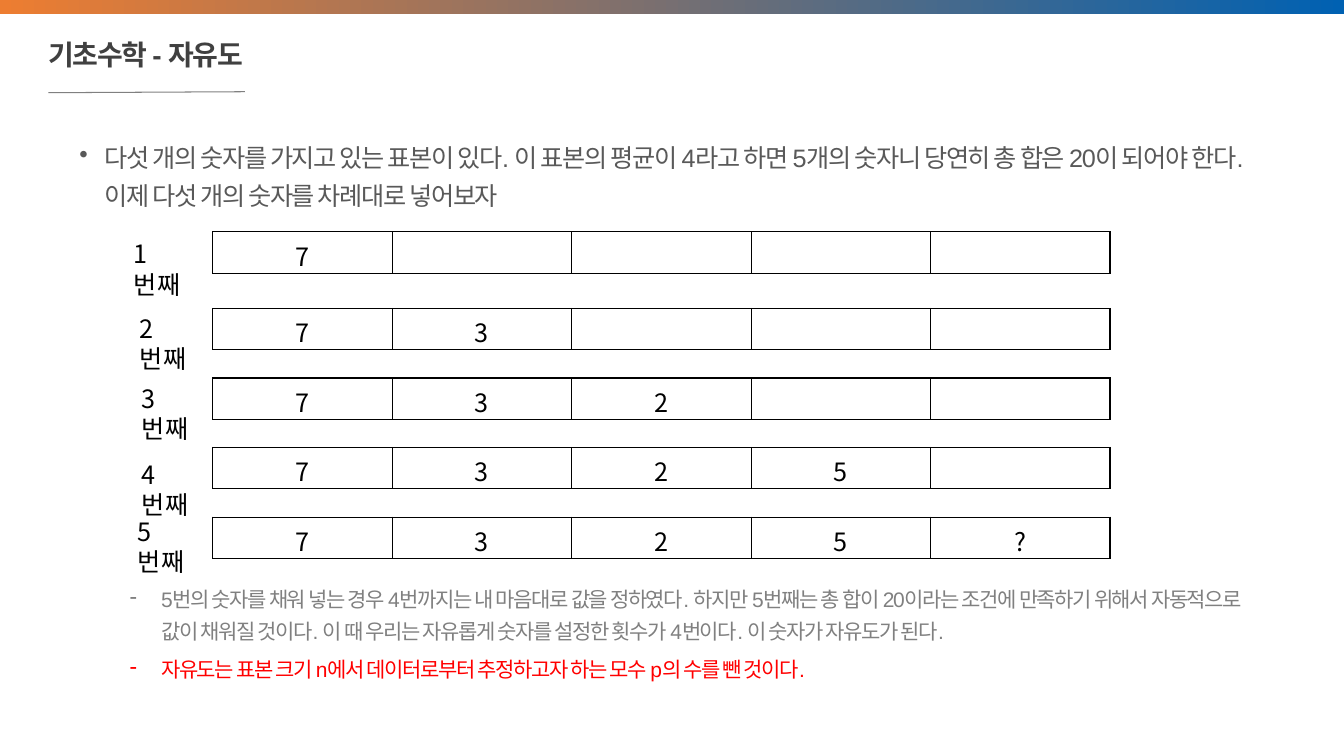
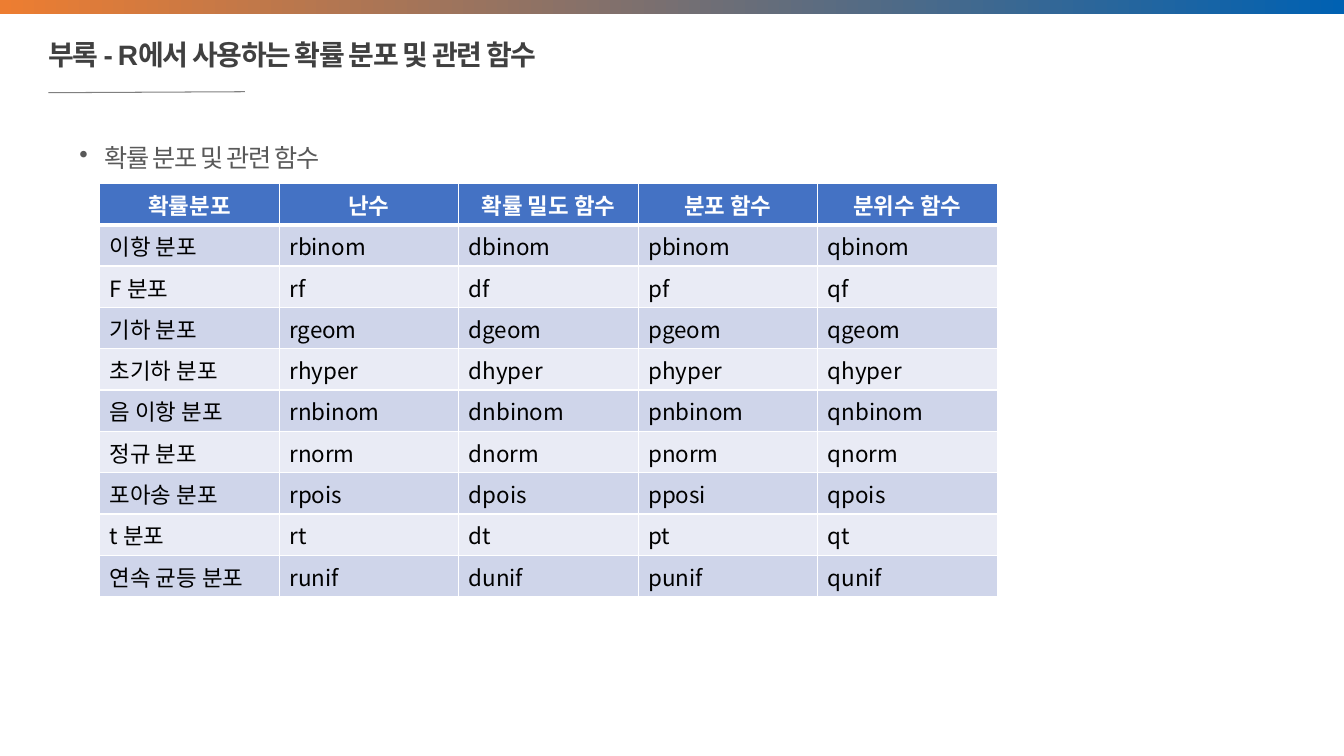
from dataclasses import dataclass

from lxml import etree
from pptx import Presentation
from pptx.dml.color import RGBColor
from pptx.enum import shapes, text
from pptx.oxml import ns
from pptx.util import Inches, Pt

ORANGE = RGBColor(0xED, 0x7D, 0x31)
BLUE = RGBColor(0x00, 0x61, 0xB2)
HEADER_BLUE = RGBColor(0x44, 0x72, 0xC4)
BAND_DARK = RGBColor(0xCF, 0xD5, 0xEA)
BAND_LIGHT = RGBColor(0xE9, 0xEB, 0xF5)
TITLE_GREY = RGBColor(0x40, 0x40, 0x40)
BODY_GREY = RGBColor(0x59, 0x59, 0x59)
GREY = RGBColor(0x80, 0x80, 0x80)
RED = RGBColor(0xFF, 0x00, 0x00)
BLACK = RGBColor(0, 0, 0)
WHITE = RGBColor(0xFF, 0xFF, 0xFF)

LATIN = "Arial"
KOREAN = "Noto Sans CJK KR"
SLIDE_W, SLIDE_H = 13.33, 7.5
COL_W, ROW_H = 1.78, 0.41


@dataclass(frozen=True)
class Style:
    size: float
    color: RGBColor
    font: str = KOREAN
    bold: bool = False
    tracking: int = 0


@dataclass(frozen=True)
class Bullet:
    char: str
    indent: float
    hanging: float
    before: float


@dataclass(frozen=True)
class Trial:
    label: str
    label_x: float
    label_y: float
    table_y: float
    values: str


TITLE = Style(20, TITLE_GREY, LATIN, True, -100)
BODY = Style(18, BODY_GREY, LATIN, tracking=-100)
NOTE = Style(15, GREY, LATIN, tracking=-100)
KEY_NOTE = Style(15, RED, LATIN, tracking=-100)
NUMBER = Style(18, BLACK)
HEADER = Style(16, WHITE, bold=True)
ENTRY = Style(16, BLACK)

DOT = Bullet("•", 0.25, 0.25, 10)
DASH = Bullet("-", 0.81, 0.31, 5)

TRIALS = [
    Trial("1번째", 1.23, 2.32, 2.30, "7"),
    Trial("2번째", 1.29, 3.06, 3.06, "73"),
    Trial("3번째", 1.31, 3.75, 3.75, "732"),
    Trial("4번째", 1.31, 4.51, 4.44, "7325"),
    Trial("5번째", 1.27, 5.07, 5.13, "7325?"),
]

INTRO = ("다섯 개의 숫자를 가지고 있는 표본이 있다. 이 표본의 평균이 4라고 하면 5개의 "
         "숫자니 당연히 총 합은 20이 되어야 한다. 이제 다섯 개의 숫자를 차례대로 넣어보자")
NOTES = [
    ("5번의 숫자를 채워 넣는 경우 4번까지는 내 마음대로 값을 정하였다. 하지만 5번째는 "
     "총 합이 20이라는 조건에 만족하기 위해서 자동적으로 값이 채워질 것이다. 이 때 우리는 "
     "자유롭게 숫자를 설정한 횟수가 4번이다. 이 숫자가 자유도가 된다.", NOTE),
    ("자유도는 표본 크기 n에서 데이터로부터 추정하고자 하는 모수 p의 수를 뺀 것이다.", KEY_NOTE),
]

COLUMNS = ["확률분포", "난수", "확률 밀도 함수", "분포 함수", "분위수 함수"]
FUNCTIONS = {
    "이항 분포": "rbinom dbinom pbinom qbinom",
    "F 분포": "rf df pf qf",
    "기하 분포": "rgeom dgeom pgeom qgeom",
    "초기하 분포": "rhyper dhyper phyper qhyper",
    "음 이항 분포": "rnbinom dnbinom pnbinom qnbinom",
    "정규 분포": "rnorm dnorm pnorm qnorm",
    "포아송 분포": "rpois dpois pposi qpois",
    "t 분포": "rt dt pt qt",
    "연속 균등 분포": "runif dunif punif qunif",
}


def set_style(p, style: Style) -> None:
    f = p.font
    f.size, f.bold, f.name = Pt(style.size), style.bold, style.font
    f.color.rgb = style.color
    props = p._p.get_or_add_pPr().get_or_add_defRPr()
    props.set("spc", str(style.tracking))
    etree.SubElement(props, ns.qn("a:ea")).set("typeface", KOREAN)


def set_bullet(p, bullet: Bullet) -> None:
    props = p._p.get_or_add_pPr()
    props.set("marL", str(Inches(bullet.indent)))
    props.set("indent", str(-Inches(bullet.hanging)))
    etree.SubElement(props, ns.qn("a:buChar")).set("char", bullet.char)


def add_text_box(s, x: float, y: float, w: float, h: float):
    tf = s.shapes.add_textbox(Inches(x), Inches(y), Inches(w), Inches(h)).text_frame
    tf.word_wrap = True
    return tf


def add_bullets(s, y: float, h: float, items: list[tuple[str, Style]], bullet: Bullet) -> None:
    tf = add_text_box(s, 0.69, y, 12.04, h)
    for i, (words, style) in enumerate(items):
        p = tf.add_paragraph() if i else tf.paragraphs[0]
        p.text = words
        set_bullet(p, bullet)
        p.line_spacing = 1.25
        if i:
            p.space_before = Pt(bullet.before)
        set_style(p, style)


def set_borders(cell, color: RGBColor, top: float = 1, bottom: float = 1) -> None:
    """Draw the four cell edges; call before setting the cell fill."""
    props = cell._tc.get_or_add_tcPr()
    for side, width in (("L", 1), ("R", 1), ("T", top), ("B", bottom)):
        line = etree.SubElement(props, ns.qn(f"a:ln{side}"), w=str(Pt(width)))
        fill = etree.SubElement(line, ns.qn("a:solidFill"))
        etree.SubElement(fill, ns.qn("a:srgbClr")).set("val", str(color))


def add_table(s, x: float, y: float, rows: int, cols: int):
    tbl = s.shapes.add_table(rows, cols, Inches(x), Inches(y),
                             Inches(cols * COL_W), Inches(rows * ROW_H)).table
    tbl.horz_banding = False
    for col in tbl.columns:
        col.width = Inches(COL_W)
    for row in tbl.rows:
        row.height = Inches(ROW_H)
    return tbl


def write_cell(cell, words: str, style: Style, centred: bool) -> None:
    p = cell.text_frame.paragraphs[0]
    p.text = words
    p.alignment = text.PP_ALIGN.CENTER if centred else text.PP_ALIGN.LEFT
    set_style(p, style)


def add_trial(s, trial: Trial) -> None:
    tbl = add_table(s, 2.11, trial.table_y, 1, 5)
    tbl.first_row = False
    for i in range(5):
        cell = tbl.cell(0, i)
        set_borders(cell, BLACK)
        cell.fill.background()
        write_cell(cell, trial.values[i:i + 1], NUMBER, True)
    p = add_text_box(s, trial.label_x, trial.label_y, 0.7, 0.4).paragraphs[0]
    p.text = trial.label
    set_style(p, NUMBER)


def add_function_table(s) -> None:
    rows = [COLUMNS] + [[name, *names.split()] for name, names in FUNCTIONS.items()]
    tbl = add_table(s, 0.99, 1.82, len(rows), len(COLUMNS))
    for r, row in enumerate(rows):
        header = r == 0
        band = HEADER_BLUE if header else BAND_DARK if r % 2 else BAND_LIGHT
        for c, words in enumerate(row):
            cell = tbl.cell(r, c)
            set_borders(cell, WHITE, top=3 if r == 1 else 1, bottom=3 if header else 1)
            cell.fill.solid()
            cell.fill.fore_color.rgb = band
            write_cell(cell, words, HEADER if header else ENTRY, header)


def add_slide(prs, title: str):
    """Add a slide with the gradient band, the title and the rule under it."""
    s = prs.slides.add_slide(prs.slide_layouts[5])
    band = s.shapes.add_shape(shapes.MSO_SHAPE.RECTANGLE, 0, 0, prs.slide_width, Inches(0.14))
    band.shadow.inherit = False
    band.line.fill.background()
    band.fill.gradient()
    band.fill.gradient_angle = 0
    for stop, color, position in zip(band.fill.gradient_stops, (ORANGE, BLUE), (0, 1)):
        stop.color.rgb = color
        stop.position = position

    rule = s.shapes.add_connector(shapes.MSO_CONNECTOR.STRAIGHT, Inches(0.48), Inches(0.92),
                                  Inches(2.43), Inches(0.91))
    rule.line.color.rgb = GREY
    rule.line.width = Pt(0.75)
    etree.SubElement(rule._element.spPr, ns.qn("a:effectLst"))

    sp = s.shapes.title
    sp.left, sp.top, sp.width, sp.height = (Inches(v) for v in (0.38, 0.33, 7.37, 0.45))
    tf = sp.text_frame
    tf.word_wrap = True
    tf.auto_size = text.MSO_AUTO_SIZE.NONE
    tf.vertical_anchor = text.MSO_ANCHOR.MIDDLE
    p = tf.paragraphs[0]
    p.text = title
    p.alignment = text.PP_ALIGN.LEFT
    p.line_spacing = 0.9
    set_style(p, TITLE)
    return s


def main() -> None:
    prs = Presentation()
    prs.slide_width, prs.slide_height = Inches(SLIDE_W), Inches(SLIDE_H)

    s = add_slide(prs, "기초수학 - 자유도")
    add_bullets(s, 1.29, 0.9, [(INTRO, BODY)], DOT)
    for trial in TRIALS:
        add_trial(s, trial)
    add_bullets(s, 5.71, 1.18, NOTES, DASH)

    s = add_slide(prs, "부록 - R에서 사용하는 확률 분포 및 관련 함수")
    add_bullets(s, 1.29, 0.5, [("확률 분포 및 관련 함수", BODY)], DOT)
    add_function_table(s)

    prs.save("out.pptx")


if __name__ == "__main__":
    main()
